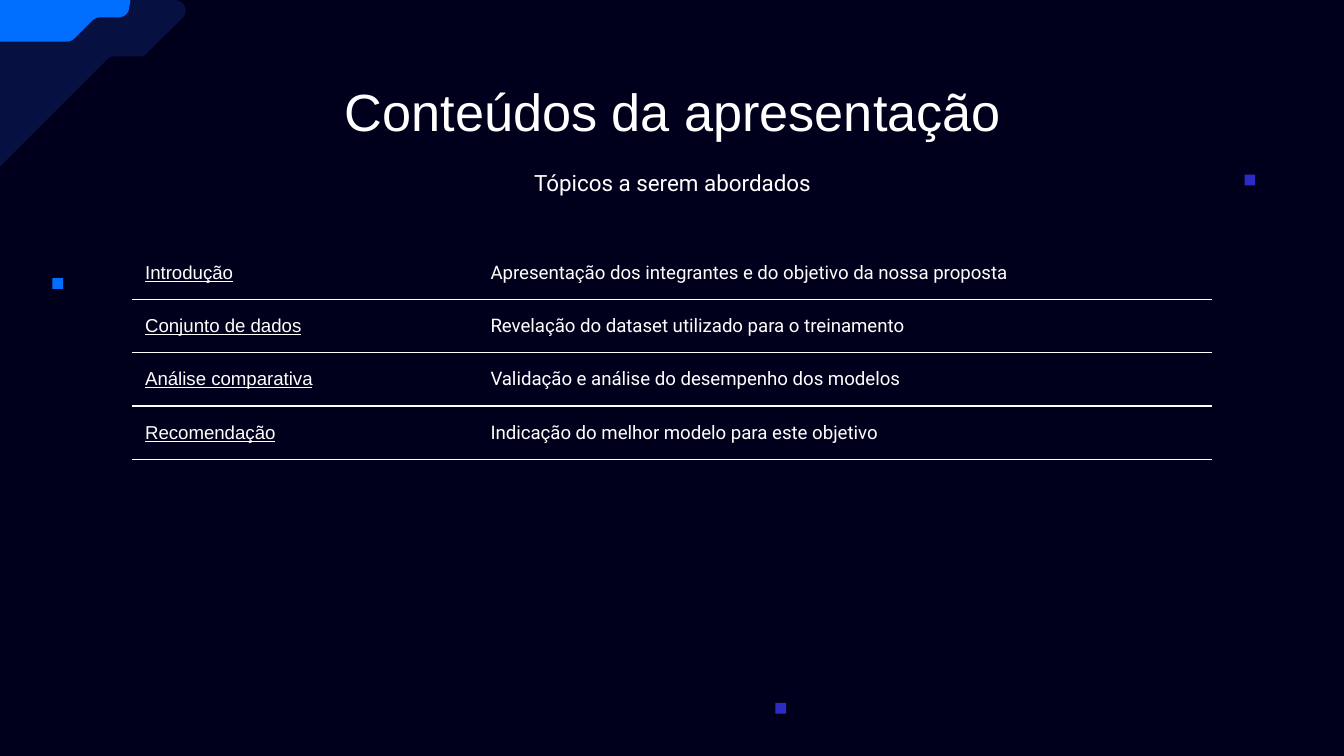
from dataclasses import dataclass

from lxml import etree
from pptx import Presentation
from pptx.dml.color import RGBColor
from pptx.enum.shapes import MSO_SHAPE
from pptx.enum.text import MSO_ANCHOR, PP_ALIGN
from pptx.oxml.ns import qn
from pptx.util import Inches, Pt

RECT = MSO_SHAPE.RECTANGLE
TOP, MIDDLE = MSO_ANCHOR.TOP, MSO_ANCHOR.MIDDLE
LEFT, CENTER = PP_ALIGN.LEFT, PP_ALIGN.CENTER
PLAIN_GRID = "{2D5ABB26-0587-4C30-8999-92F81FD0307C}"


@dataclass(frozen=True)
class Theme:
    back: str = "00001C"
    navy: str = "061041"
    blue: str = "006EFF"
    violet: str = "2C2CC5"
    white: str = "FFFFFF"
    head: str = "Arial"
    body: str = "Roboto"
    title: int = 28
    sub: int = 12
    cell: int = 10
    rule: float = 0.75


theme = Theme()


def write(frame, text, size, font=theme.body, align=LEFT, anchor=TOP, line=False):
    frame.word_wrap = True
    frame.vertical_anchor = anchor
    par = frame.paragraphs[0]
    par.alignment = align
    run = par.add_run()
    run.text = text
    run.font.size = Pt(size)
    run.font.name = font
    run.font.underline = line
    run.font.color.rgb = RGBColor.from_string(theme.white)


def paint(shape, color):
    shape.shadow.inherit = False
    shape.fill.solid()
    shape.fill.fore_color.rgb = RGBColor.from_string(color)
    shape.line.fill.background()


# Widescreen slide, 16 to 9
prs = Presentation()
prs.slide_width = Inches(10)
prs.slide_height = Inches(10) * 9 // 16
slide = prs.slides.add_slide(prs.slide_layouts[5])
shapes = slide.shapes
slide.background.fill.solid()
slide.background.fill.fore_color.rgb = RGBColor.from_string(theme.back)

# Corner bands: a pair is a straight step, six numbers are a Bézier curve
bands = [
    (theme.navy, [
        (-0.21, 1.27), (-0.07, 1.27), (-0.05, 1.27, -0.03, 1.26, -0.01, 1.25),
        (0.79, 0.45), (0.81, 0.43, 0.82, 0.42, 0.85, 0.42),
        (1.04, 0.42), (1.06, 0.42, 1.08, 0.41, 1.09, 0.4),
        (1.36, 0.13), (1.41, 0.08, 1.37, 0, 1.3, 0),
        (-0.12, 0), (-0.16, 0, -0.2, 0.04, -0.2, 0.08), (-0.2, 1.28)]),
    (theme.blue, [
        (-0.21, 0), (-0.21, 0.31), (0.5, 0.31), (0.52, 0.31, 0.54, 0.3, 0.56, 0.28),
        (0.68, 0.16), (0.7, 0.14, 0.72, 0.13, 0.74, 0.13),
        (0.88, 0.13), (0.92, 0.13, 0.96, 0.1, 0.96, 0.06), (0.97, 0.01), (0.97, 0)]),
]
STEPS = 8
for color, path in bands:
    dots = []
    for step in path:
        if len(step) == 2:
            dots.append(step)
            continue
        ctrl = [dots[-1], step[:2], step[2:4], step[4:]]
        for i in range(1, STEPS + 1):
            t = i / STEPS
            mix = [(1 - t) ** 3, 3 * t * (1 - t) ** 2, 3 * t * t * (1 - t), t ** 3]
            dots.append(tuple(sum(m * c[k] for m, c in zip(mix, ctrl)) for k in (0, 1)))
    dots = [(Inches(x), Inches(y)) for x, y in dots]
    form = shapes.build_freeform(*dots[0])
    form.add_line_segments(dots[1:], close=True)
    paint(form.convert_to_shape(), color)

# Small squares
side = Inches(0.08)
for x, y, color in [(0.39, 2.07, theme.blue), (9.26, 1.3, theme.violet),
                    (5.77, 5.23, theme.violet)]:
    paint(shapes.add_shape(RECT, Inches(x), Inches(y), side, side), color)

# Title and subtitle
title = shapes.title
title.left, title.top = Inches(0.79), Inches(0.49)
title.width, title.height = Inches(8.43), Inches(0.63)
sub = shapes.add_textbox(Inches(0.79), Inches(1.16), Inches(8.43), Inches(0.4))
for box in (title, sub):
    frame = box.text_frame
    frame.margin_left = frame.margin_right = Inches(0.1)
    frame.margin_top = frame.margin_bottom = Inches(0.1)
write(title.text_frame, "Conteúdos da apresentação", theme.title,
      font=theme.head, align=CENTER)
write(sub.text_frame, "Tópicos a serem abordados", theme.sub, align=CENTER)

# Table of contents
topics = [
    ("Introdução", "Apresentação dos integrantes e do objetivo da nossa proposta"),
    ("Conjunto de dados", "Revelação do dataset utilizado para o treinamento"),
    ("Análise comparativa", "Validação e análise do desempenho dos modelos"),
    ("Recomendação", "Indicação do melhor modelo para este objetivo"),
]
widths = [2.57, 5.47]
tall = Inches(1.59)
grid = shapes.add_table(len(topics), 2, Inches(0.98), Inches(1.83),
                        Inches(sum(widths)), tall).table
grid.first_row = grid.horz_banding = False
grid._tbl.tblPr.find(qn("a:tableStyleId")).text = PLAIN_GRID
for col, width in zip(grid.columns, widths):
    col.width = Inches(width)

for r, topic in enumerate(topics):
    grid.rows[r].height = tall // len(topics)
    for c, text in enumerate(topic):
        cell = grid.cell(r, c)
        cell.margin_left = cell.margin_right = Inches(0.1)
        cell.margin_top = cell.margin_bottom = 0
        cell.vertical_anchor = MIDDLE
        cell.fill.background()
        write(cell.text_frame, text, theme.cell, anchor=None, line=c == 0,
              font=theme.head if c == 0 else theme.body)
        # Rule below the cell
        rule = etree.Element(qn("a:lnB"), w=str(Pt(theme.rule)))
        fill = etree.SubElement(rule, qn("a:solidFill"))
        etree.SubElement(fill, qn("a:srgbClr"), val=theme.white)
        cell._tc.get_or_add_tcPr().insert(0, rule)

prs.save("out.pptx")
